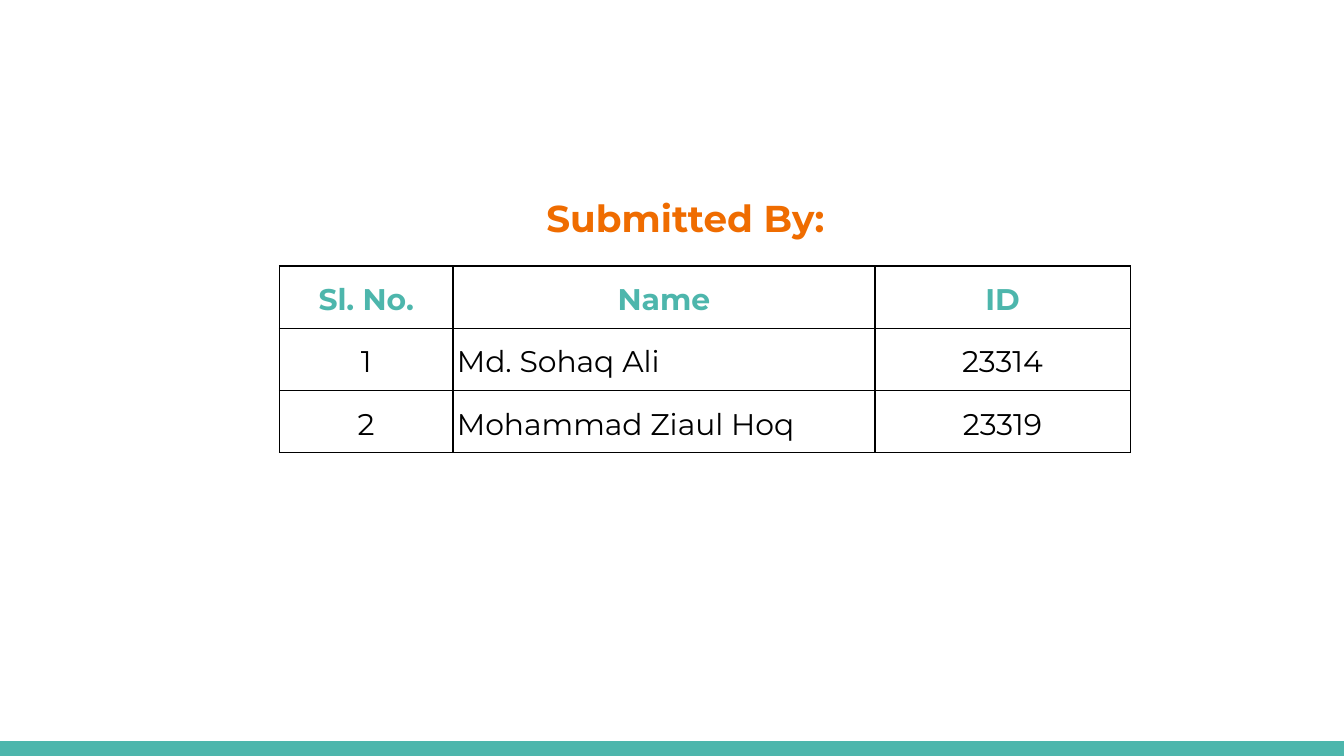
from lxml.etree import SubElement
from pptx import Presentation
from pptx.dml.color import RGBColor
from pptx.enum.shapes import MSO_SHAPE as Shape
from pptx.enum.text import MSO_ANCHOR as Anchor, PP_ALIGN as Align
from pptx.oxml.ns import qn
from pptx.util import Inches, Pt

WIDTH = 10
HEIGHT = WIDTH * 9 / 16
FONT = "Montserrat"
COLORS = {"teal": "4DB6AC", "orange": "EF6C00", "black": "000000"}
COLUMNS = [1.29, 3.14, 1.9]
MEMBERS = [
    ["Sl. No.", "Name", "ID"],
    ["1", "Md. Sohaq Ali", "23314"],
    ["2", "Mohammad Ziaul Hoq", "23319"],
]


def color(name):
    return RGBColor.from_string(COLORS[name])


def write(frame, text, size, color_name, bold, align=Align.CENTER):
    frame.text = text
    para = frame.paragraphs[0]
    para.alignment = align
    para.line_spacing = 1.15
    font = para.runs[0].font
    font.name, font.size, font.bold = FONT, Pt(size), bold
    font.color.rgb = color(color_name)
    return para


def add_footer(page, box):
    bar = page.shapes.add_shape(Shape.RECTANGLE, *map(Inches, box))
    bar.shadow.inherit = False
    bar.fill.solid()
    bar.fill.fore_color.rgb = color("teal")
    bar.line.fill.background()


def set_title(page, box, text):
    title = page.shapes.title
    title.left, title.top, title.width, title.height = map(Inches, box)
    frame = title.text_frame
    frame.margin_left = frame.margin_right = Inches(0.1)
    frame.margin_top = frame.margin_bottom = Inches(0.1)
    frame.vertical_anchor = Anchor.TOP
    write(frame, text, 20, "orange", True).space_before = Pt(12)


def add_borders(cell):
    properties = cell._tc.get_or_add_tcPr()
    # Borders must come before the fill in the cell properties
    for index, side in enumerate(("lnL", "lnR", "lnT", "lnB")):
        line = SubElement(properties, qn(f"a:{side}"), w=str(Pt(0.83)))
        fill = SubElement(line, qn("a:solidFill"))
        SubElement(fill, qn("a:srgbClr"), val=COLORS["black"])
        properties.insert(index, line)


def add_member_table(page, box):
    table = page.shapes.add_table(
        len(MEMBERS), len(COLUMNS), *map(Inches, box)).table
    table.first_row = table.horz_banding = False
    # Columns share the width of the box
    for column, share in zip(table.columns, COLUMNS):
        column.width = Inches(box[2] * share / sum(COLUMNS))
    for row_index, row in enumerate(MEMBERS):
        header = row_index == 0
        for column_index, text in enumerate(row):
            cell = table.cell(row_index, column_index)
            cell.fill.background()
            cell.vertical_anchor = Anchor.MIDDLE
            cell.margin_left = cell.margin_right = Inches(0.03)
            cell.margin_top = cell.margin_bottom = Inches(0.02)
            is_name = column_index == 1 and not header
            write(cell.text_frame, text, 16, "teal" if header else "black",
                  header, Align.LEFT if is_name else Align.CENTER)
            add_borders(cell)


def main():
    deck = Presentation()
    deck.slide_width, deck.slide_height = Inches(WIDTH), Inches(HEIGHT)
    page = deck.slides.add_slide(deck.slide_layouts[5])  # title only
    add_footer(page, (0, HEIGHT - 0.11, WIDTH, 0.11))
    set_title(page, (0.44, 1.3, 9.32, 0.63), "Submitted By:")
    add_member_table(page, (2.08, 1.98, sum(COLUMNS), 1.39))
    deck.save("out.pptx")


if __name__ == "__main__":
    main()
